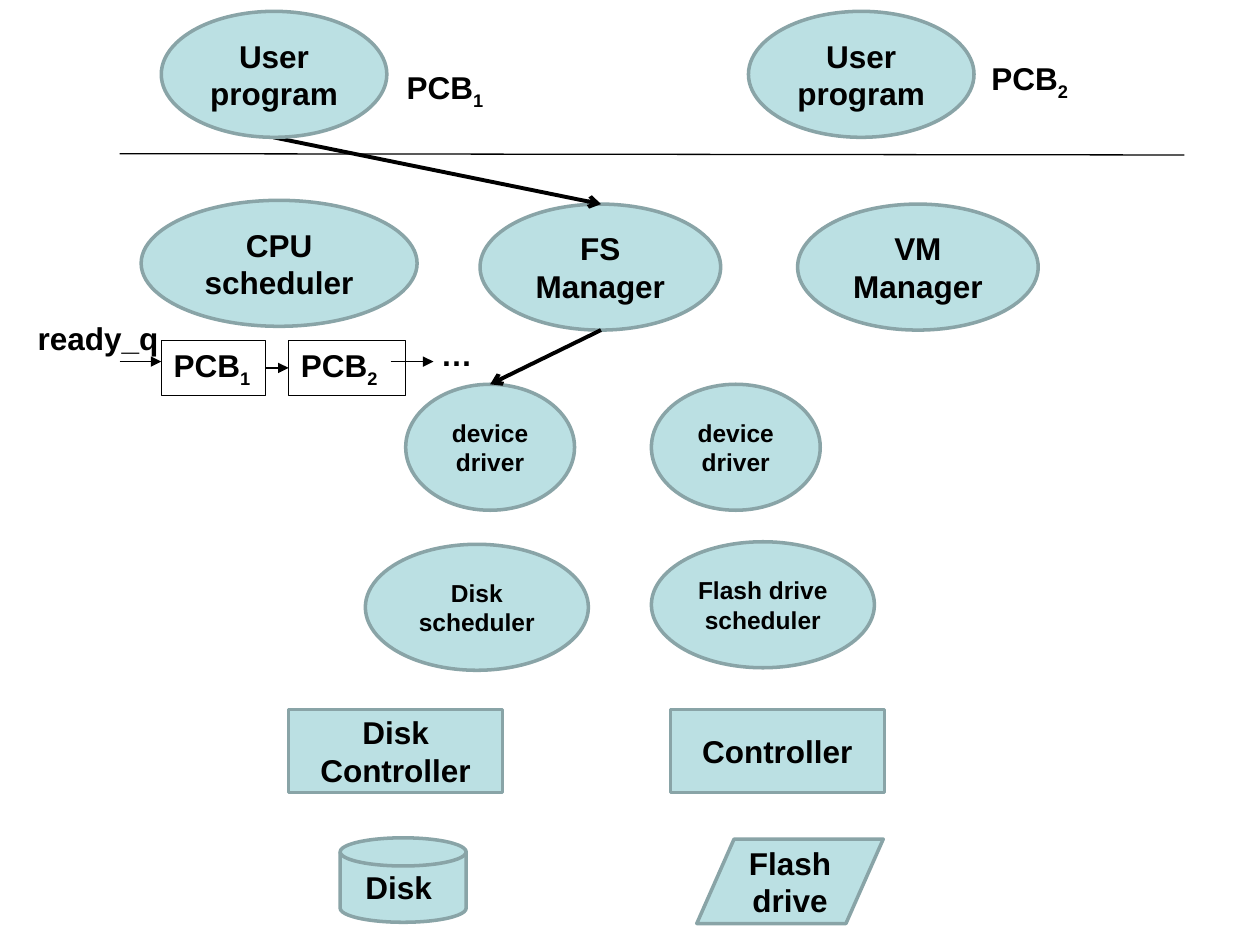
from lxml import etree
from pptx import Presentation
from pptx.dml.color import RGBColor
from pptx.enum.shapes import MSO_CONNECTOR, MSO_SHAPE
from pptx.enum.text import MSO_ANCHOR, MSO_AUTO_SIZE, PP_ALIGN
from pptx.oxml.ns import qn
from pptx.util import Inches, Pt

OVAL, RECT = MSO_SHAPE.OVAL, MSO_SHAPE.RECTANGLE
DISK, SLANT = MSO_SHAPE.FLOWCHART_MAGNETIC_DISK, MSO_SHAPE.FLOWCHART_DATA
STRAIGHT = MSO_CONNECTOR.STRAIGHT
MID, TOP = MSO_ANCHOR.MIDDLE, MSO_ANCHOR.TOP
LEFT, CENTER = PP_ALIGN.LEFT, PP_ALIGN.CENTER
GROW = MSO_AUTO_SIZE.SHAPE_TO_FIT_TEXT

THEME = {
    "font": "Arial", "ink": RGBColor(0, 0, 0),
    "fill": RGBColor(0xBB, 0xE0, 0xE3), "edge": RGBColor(0x89, 0xA4, 0xA7),
    "big": Pt(18), "small": Pt(14),
    "thin": Pt(0.75), "rim": Pt(2), "bold": Pt(2.25),
}

deck = Presentation()
deck.slide_width, deck.slide_height = Inches(10), Inches(7.5)
slide = deck.slides.add_slide(deck.slide_layouts[6])
shapes = slide.shapes

# Grid of 100 columns by 75 rows
COL, ROW = deck.slide_width / 100, deck.slide_height / 75


def write(shape, text, size, align, anchor, sub=""):
    """Put bold text, with an optional subscript, into a shape."""
    frame = shape.text_frame
    frame.word_wrap, frame.vertical_anchor = True, anchor
    para = frame.paragraphs[0]
    para.alignment = align
    for part in filter(None, (text, sub)):
        run = para.add_run()
        run.text = part
        font = run.font
        font.name, font.size, font.bold = THEME["font"], size, True
        font.color.rgb = THEME["ink"]
    if sub:
        run._r.get_or_add_rPr().set("baseline", "-25000")
    return frame


def link(x1, y1, x2, y2, width, head=None):
    """Draw a straight line between two grid points."""
    line = shapes.add_connector(
        STRAIGHT, int(x1 * COL), int(y1 * ROW), int(x2 * COL), int(y2 * ROW))
    line.line.color.rgb, line.line.width = THEME["ink"], width
    if head:
        tail = etree.SubElement(line.line._get_or_add_ln(), qn("a:tailEnd"))
        tail.set("type", head)
    etree.SubElement(line._element.spPr, qn("a:effectLst"))
    return line


# User and kernel border, then the call path; user programs cover its start
link(9.5, 12.2, 94, 12.3, THEME["thin"])
nodes = [
    (OVAL, 11.2, 15.9, 21.9, 10, "CPU scheduler", "big"),
    (OVAL, 38.1, 16.2, 19.1, 10, "FS Manager", "big"),
    (OVAL, 63.3, 16.2, 19.1, 10, "VM Manager", "big"),
    (OVAL, 32.2, 30.5, 13.4, 10, "device driver", "small"),
    (OVAL, 51.7, 30.5, 13.4, 10, "device driver", "small"),
    (OVAL, 29, 43.2, 17.7, 10, "Disk scheduler", "small"),
    (OVAL, 51.7, 43, 17.7, 10, "Flash drive scheduler", "small"),
    (RECT, 22.9, 56.3, 17, 6.6, "Disk Controller", "big"),
    (DISK, 27, 66.5, 10, 6.7, "Disk ", "big"),
    (RECT, 53.2, 56.3, 17, 6.6, "Controller", "big"),
    (SLANT, 55.3, 66.6, 14.8, 6.7, "Flash drive", "big"),
    (OVAL, 12.8, 0.9, 17.9, 10, "User program", "big"),
    (OVAL, 59.4, 0.9, 17.9, 10, "User program", "big"),
]
for kind, x, y, w, h, text, size in nodes:
    if (text, x) == ("User program", 12.8):
        link(21.7, 10.9, 47.7, 16.2, THEME["bold"], "arrow")
    node = shapes.add_shape(
        kind, int(x * COL), int(y * ROW), int(w * COL), int(h * ROW))
    node.shadow.inherit = False
    node.fill.solid()
    node.fill.fore_color.rgb = THEME["fill"]
    node.line.color.rgb, node.line.width = THEME["edge"], THEME["rim"]
    write(node, text, THEME[size], CENTER, MID)
link(47.7, 26.2, 38.9, 30.5, THEME["bold"], "arrow")

# Ready queue
queue = []
for x, w, sub in [(12.8, 8.3, "1"), (22.9, 9.3, "2")]:
    block = shapes.add_shape(
        RECT, int(x * COL), int(27 * ROW), int(w * COL), int(4.4 * ROW))
    block.shadow.inherit = False
    block.fill.background()
    block.line.color.rgb, block.line.width = THEME["ink"], THEME["thin"]
    write(block, "PCB", THEME["big"], LEFT, TOP, sub).auto_size = GROW
    queue.append(block)
hop = link(21.1, 29.2, 22.9, 29.2, THEME["thin"], "triangle")
hop.begin_connect(queue[0], 3)
hop.end_connect(queue[1], 1)
for start, end in [(9.5, 12.8), (31, 34.4)]:
    link(start, 28.7, end, 28.7, THEME["thin"], "triangle")

# Free labels
labels = [
    (34, 26.1, 4.5, 4, "…", "", False),
    (2, 24.8, 13.3, 4, "ready_q", "", True),
    (31.3, 4.9, 8.6, 4.4, "PCB", "1", True),
    (77.7, 4.2, 9, 4.4, "PCB", "2", True),
]
for x, y, w, h, text, sub, wrap in labels:
    label = shapes.add_textbox(
        int(x * COL), int(y * ROW), int(w * COL), int(h * ROW))
    frame = write(label, text, THEME["big"], LEFT, TOP, sub)
    frame.word_wrap, frame.auto_size = wrap, GROW

deck.save("out.pptx")
